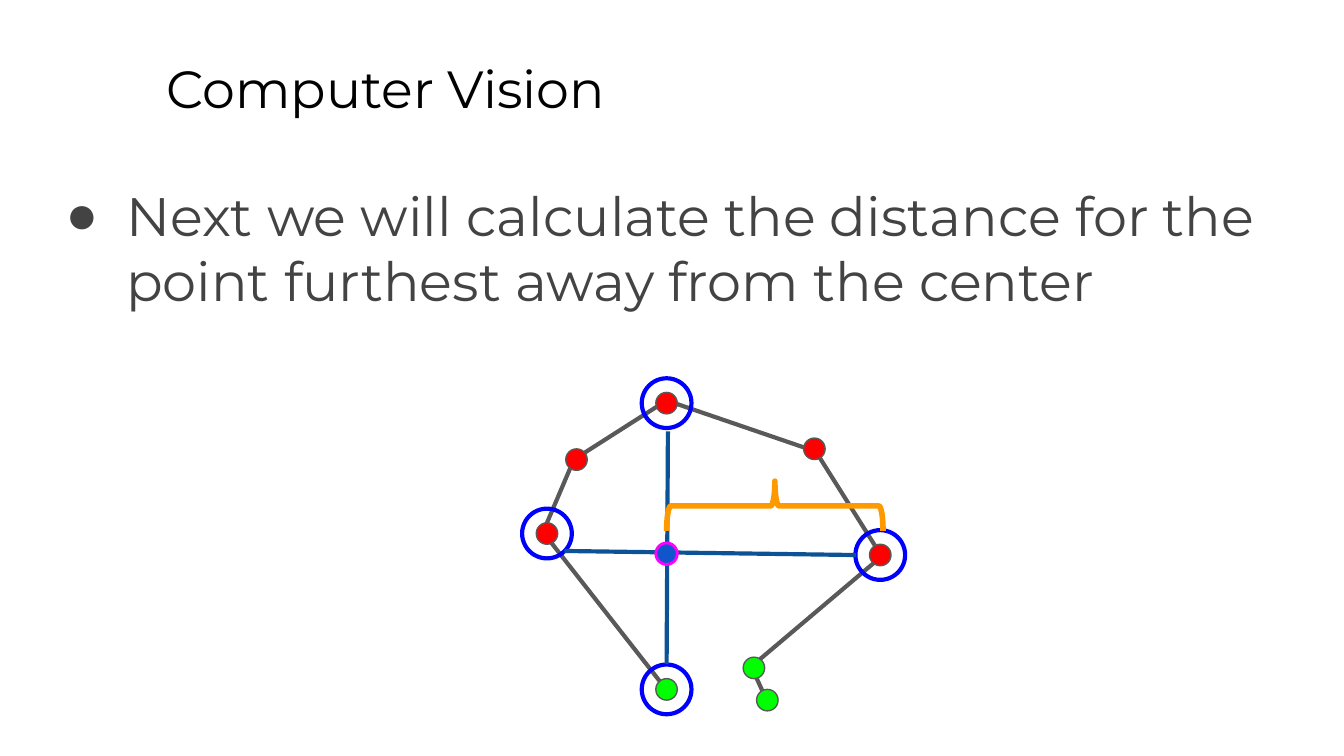
from dataclasses import dataclass
from lxml import etree
from pptx import Presentation
from pptx.dml.color import RGBColor
from pptx.enum.shapes import MSO_CONNECTOR, MSO_SHAPE
from pptx.oxml.ns import qn
from pptx.util import Inches, Pt

OVAL = MSO_SHAPE.OVAL
BRACE = MSO_SHAPE.LEFT_BRACE
STRAIGHT = MSO_CONNECTOR.STRAIGHT


@dataclass(frozen=True)
class Theme:
    font: str = "Montserrat"
    mark: str = "Arial"
    title: int = 28
    body: int = 29
    black: str = "000000"
    text: str = "434343"
    edge: str = "595959"
    red: str = "FF0000"
    green: str = "00FF00"
    ring: str = "0000FF"
    axis: str = "0B5394"
    core: str = "1155CC"
    pink: str = "FF00FF"
    brace: str = "FF9900"
    thin: float = 0.75
    rim: float = 1.5
    thick: float = 2.25
    heavy: float = 3
    dot: float = 0.16
    halo: float = 0.37


class Canvas:
    """Draws styled elements on one slide."""

    def __init__(self, slide, theme):
        self.shapes = slide.shapes
        self.theme = theme

    def paint(self, shape, line, width, fill=None):
        shape.shadow.inherit = False
        if fill:
            shape.fill.solid()
            shape.fill.fore_color.rgb = RGBColor.from_string(fill)
        else:
            shape.fill.background()
        shape.line.color.rgb = RGBColor.from_string(line)
        shape.line.width = Pt(width)

    def text(self, box, words, size, color):
        frame = self.shapes.add_textbox(*map(Inches, box)).text_frame
        frame.word_wrap = True
        frame.margin_left = frame.margin_right = Inches(0.1)
        frame.margin_top = frame.margin_bottom = Inches(0.1)
        frame.text = words
        para = frame.paragraphs[0]
        font = para.runs[0].font
        font.name = self.theme.font
        font.size = Pt(size)
        font.color.rgb = RGBColor.from_string(color)
        return para

    def bullet(self, box, words, size, color):
        props = self.text(box, words, size, color)._p.get_or_add_pPr()
        props.set("marL", str(Inches(0.5)))
        props.set("indent", str(Inches(-0.45)))
        tint = etree.SubElement(props, qn("a:buClr"))
        etree.SubElement(tint, qn("a:srgbClr"), val=color)
        etree.SubElement(props, qn("a:buFont"), typeface=self.theme.mark)
        etree.SubElement(props, qn("a:buChar"), char="●")

    def chain(self, points, color, width):
        spots = [(Inches(x), Inches(y)) for x, y in points]
        path = self.shapes.build_freeform(*spots[0])
        path.add_line_segments(spots[1:], close=False)
        self.paint(path.convert_to_shape(), color, width)

    def circle(self, center, size, line, width, fill=None):
        x, y = center
        box = (x - size / 2, y - size / 2, size, size)
        shape = self.shapes.add_shape(OVAL, *map(Inches, box))
        self.paint(shape, line, width, fill)

    def line(self, start, end, color, width):
        link = self.shapes.add_connector(STRAIGHT, *map(Inches, start + end))
        link.line.color.rgb = RGBColor.from_string(color)
        link.line.width = Pt(width)
        etree.SubElement(link._element.spPr, qn("a:effectLst"))

    def brace(self, box, turn, color, width):
        shape = self.shapes.add_shape(BRACE, *map(Inches, box))
        shape.rotation = turn
        self.paint(shape, color, width)


def main():
    deck = Presentation()
    deck.slide_width = Inches(10)
    deck.slide_height = deck.slide_width * 9 // 16
    theme = Theme()
    art = Canvas(deck.slides.add_slide(deck.slide_layouts[6]), theme)

    art.text((1.14, 0.32, 8.52, 0.63), "Computer Vision",
             theme.title, theme.black)
    art.bullet((0.34, 1.26, 9.5, 3.74),
               "Next we will calculate the distance for the point "
               "furthest away from the center", theme.body, theme.text)

    art.chain([(4.98, 5.16), (4.04, 3.96), (4.27, 3.42), (4.96, 2.98),
               (6.07, 3.36), (6.56, 4.14), (5.59, 4.96), (5.69, 5.18)],
              theme.edge, theme.thick)

    left, top, right, base = (4.07, 3.97), (4.96, 3), (6.55, 4.13), (4.96, 5.13)
    reds = [left, (4.29, 3.42), top, (6.06, 3.34), right]
    greens = [base, (5.61, 4.97), (5.71, 5.21)]
    for fill, spots in ((theme.red, reds), (theme.green, greens)):
        for spot in spots:
            art.circle(spot, theme.dot, theme.edge, theme.thin, fill)
    for spot in (left, top, right, base):
        art.circle(spot, theme.halo, theme.ring, theme.thick)

    art.line((4.97, 3.21), (4.96, 4.94), theme.axis, theme.thick)
    art.line((6.37, 4.13), (4.2, 4.1), theme.axis, theme.thick)
    art.circle((4.96, 4.12), theme.dot, theme.pink, theme.rim, theme.core)
    art.brace((5.58, 2.96, 0.37, 1.61), 90, theme.brace, theme.heavy)

    deck.save("out.pptx")


if __name__ == "__main__":
    main()
